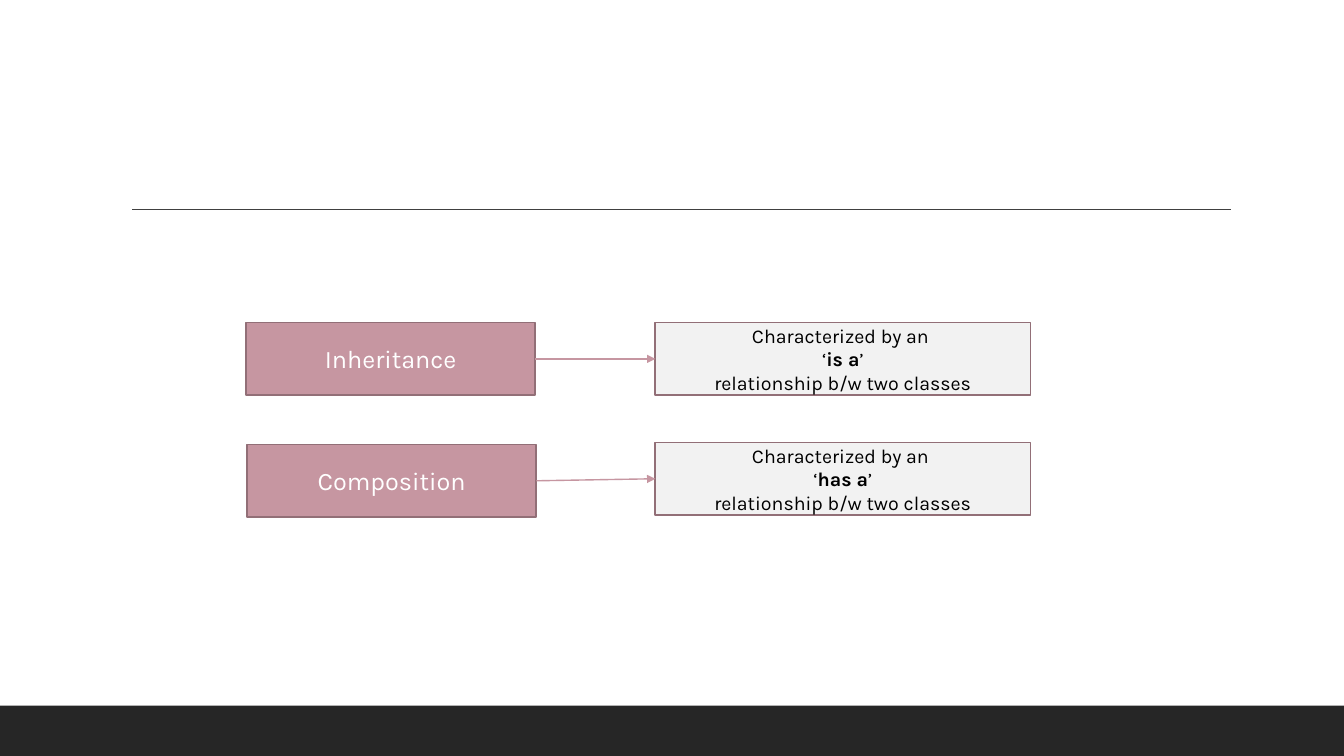
from pptx import Presentation
from pptx.dml.color import RGBColor
from pptx.enum import shapes, text
from pptx.oxml import ns, xmlchemy
from pptx.util import Inches, Pt

WHITE = RGBColor(0xFF, 0xFF, 0xFF)
BLACK = RGBColor(0, 0, 0)
DARK = RGBColor(0x26, 0x26, 0x26)
GRAY = RGBColor(0x40, 0x40, 0x40)
PALE = RGBColor(0xF2, 0xF2, 0xF2)
ROSE = RGBColor(0xC6, 0x96, 0xA1)
EDGE = RGBColor(0x92, 0x6F, 0x77)

deck = Presentation()
deck.slide_width, deck.slide_height = Inches(13.33), Inches(7.5)
slide = deck.slides.add_slide(deck.slide_layouts[6])


def add_box(left, top, width, height, fill, lines=(), size=18, color=WHITE):
    """Add a rectangle; each line of text is a list of (words, bold) runs."""
    box = slide.shapes.add_shape(
        shapes.MSO_SHAPE.RECTANGLE,
        Inches(left), Inches(top), Inches(width), Inches(height))
    box.shadow.inherit = False
    box.fill.solid()
    box.fill.fore_color.rgb = fill
    if not lines:
        box.line.fill.background()
        return box
    box.line.color.rgb = EDGE
    box.line.width = Pt(1.25)
    frame = box.text_frame
    frame.word_wrap = True
    frame.vertical_anchor = text.MSO_ANCHOR.MIDDLE
    for i, line in enumerate(lines):
        para = frame.add_paragraph() if i else frame.paragraphs[0]
        para.alignment = text.PP_ALIGN.CENTER
        for words, bold in line:
            run = para.add_run()
            run.text = words
            run.font.name = "Karla"
            run.font.size = Pt(size)
            run.font.bold = bold
            run.font.color.rgb = color
    return box


def add_line(x1, y1, x2, y2, color):
    line = slide.shapes.add_connector(
        shapes.MSO_CONNECTOR.STRAIGHT,
        Inches(x1), Inches(y1), Inches(x2), Inches(y2))
    line.line.color.rgb = color
    line.line.width = Pt(1)
    line._element.spPr.append(xmlchemy.OxmlElement("a:effectLst"))
    return line


add_box(0, 7, 13.33, 0.5, DARK)
add_line(1.31, 2.08, 12.21, 2.08, GRAY)

# Term, its left and top, the link phrase and the top of its meaning
rows = [
    ("Inheritance", 2.44, 3.2, "is a", 3.2),
    ("Composition", 2.45, 4.41, "has a", 4.39),
]
for name, left, top, link, level in rows:
    term = add_box(left, top, 2.87, 0.72, ROSE, [[(name, False)]])
    lines = [
        [("Characterized by an ", False)],
        [("‘", False), (link, True), ("’", False)],
        [("relationship b/w two classes", False)],
    ]
    note = add_box(6.5, level, 3.72, 0.72, PALE, lines, 14, BLACK)
    arrow = add_line(left + 2.87, top + 0.36, 6.5, level + 0.36, ROSE)
    arrow.begin_connect(term, 3)
    arrow.end_connect(note, 1)
    tip = xmlchemy.OxmlElement("a:tailEnd")
    tip.set("type", "triangle")
    arrow._element.spPr.find(ns.qn("a:ln")).append(tip)

deck.save("out.pptx")
